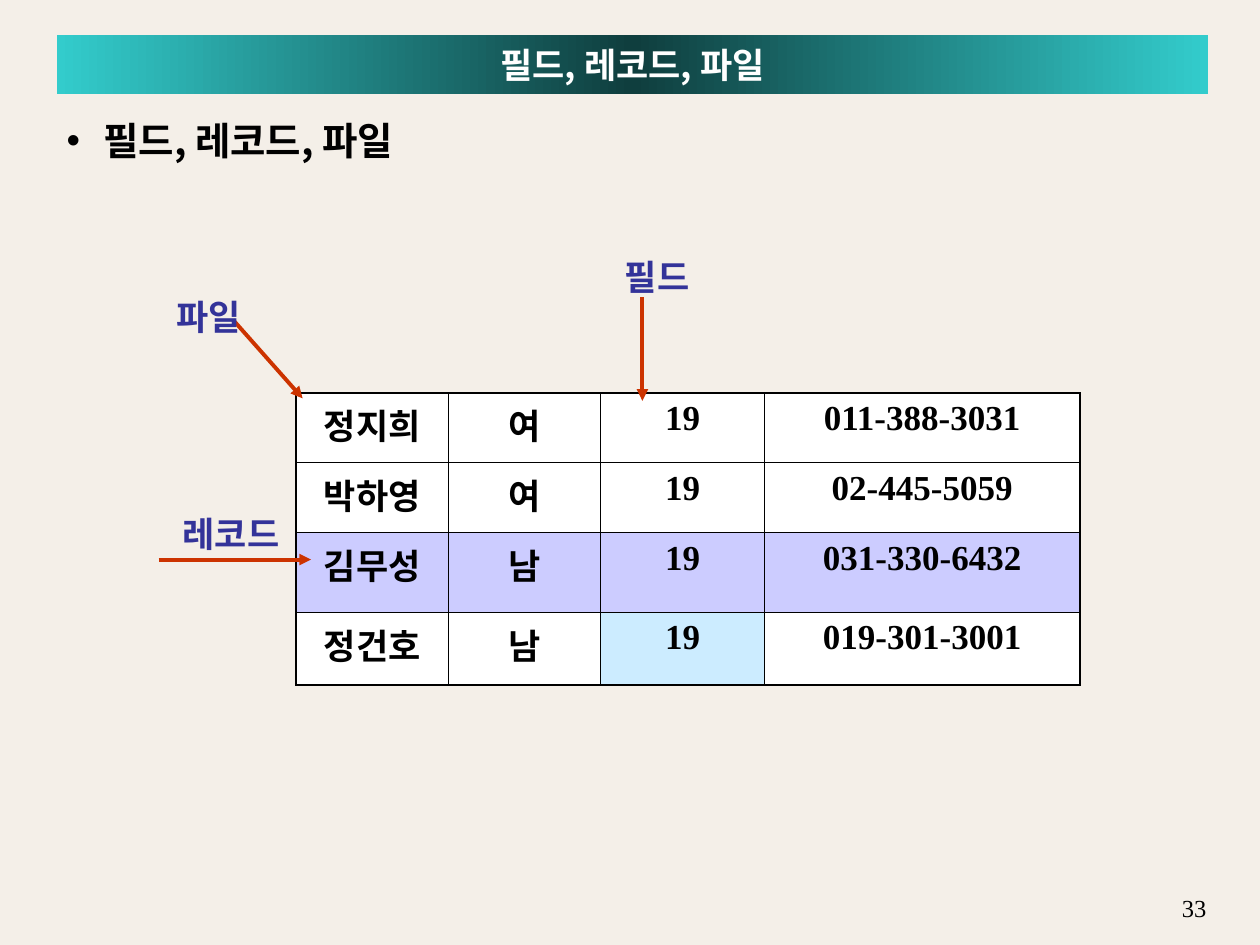
import copy

import pptx
import pptx.dml.color
import pptx.enum.shapes
import pptx.enum.text
import pptx.oxml
import pptx.oxml.ns
import pptx.util
from lxml import etree
from pptx.dml.color import RGBColor
from pptx.oxml.ns import qn
from pptx.util import Cm, Pt

TOPIC = "필드, 레코드, 파일"
PAGE_NUMBER = "33"
RECORDS = [
    ("정지희", "여", "19", "011-388-3031"),
    ("박하영", "여", "19", "02-445-5059"),
    ("김무성", "남", "19", "031-330-6432"),
    ("정건호", "남", "19", "019-301-3001"),
]
MARKED_RECORD = 2
MARKED_FIELD = (3, 2)

# Lengths in centimetres
COLUMN_WIDTHS = (3.07, 3.07, 3.3, 6.36)
ROW_HEIGHTS = (1.41, 1.41, 1.6, 1.47)
TABLE_LEFT, TABLE_TOP = 5.97, 7.92
LABEL_SIZE = (5.82, 1.27)
LABELS = [("파일", 1.3, 5.74), ("레코드", 1.75, 10.13), ("필드", 10.34, 4.95)]
ARROWS = [
    (3.2, 11.28, 6.27, 11.28),
    (4.7, 6.45, 6.1, 8.03),
    (12.95, 5.99, 12.95, 8.08),
]

BACKGROUND = RGBColor(0xF4, 0xEF, 0xE8)
TEAL = RGBColor(0x33, 0xCC, 0xCC)
DARK_TEAL = RGBColor(0x0F, 0x3E, 0x3E)
BLACK = RGBColor(0, 0, 0)
WHITE = RGBColor(0xFF, 0xFF, 0xFF)
NAVY = RGBColor(0x33, 0x33, 0x99)
RED = RGBColor(0xCC, 0x33, 0x00)
LAVENDER = RGBColor(0xCC, 0xCC, 0xFF)
SKY = RGBColor(0xCC, 0xEC, 0xFF)
KOREAN, SERIF = "Noto Sans CJK KR", "Times New Roman"
ALIGN = pptx.enum.text.PP_ALIGN
MIDDLE = pptx.enum.text.MSO_ANCHOR.MIDDLE


def write(frame, text, size, color, align, latin=SERIF, bold=True):
    """Fill the first paragraph and give it Latin and Korean fonts."""
    paragraph = frame.paragraphs[0]
    paragraph.text = text
    paragraph.alignment = align
    paragraph.space_before = Pt(0)
    font = paragraph.font
    font.size, font.bold, font.name = Pt(size), bold, latin
    font.color.rgb = color
    defaults = paragraph._p.pPr.find(qn("a:defRPr"))
    etree.SubElement(defaults, qn("a:ea"), typeface=KOREAN)


def place(shape, left, top, width, height):
    shape.left, shape.top = Cm(left), Cm(top)
    shape.width, shape.height = Cm(width), Cm(height)


def add_bullet(paragraph):
    properties = paragraph._p.get_or_add_pPr()
    properties.set("marL", str(Cm(0.74)))
    properties.set("indent", str(-Cm(0.74)))
    color = etree.SubElement(properties, qn("a:buClr"))
    etree.SubElement(color, qn("a:srgbClr"), val=str(BLACK))
    etree.SubElement(properties, qn("a:buChar"), char="•")


def set_borders(cell, outer_sides):
    """Draw thin borders, thicker on the sides at the table's edge."""
    properties = cell._tc.get_or_add_tcPr()
    for position, side in enumerate(("L", "R", "T", "B")):
        width = Pt(1.08 if side in outer_sides else 0.45)
        line = etree.Element(qn(f"a:ln{side}"), w=str(width))
        fill = etree.SubElement(line, qn("a:solidFill"))
        etree.SubElement(fill, qn("a:srgbClr"), val=str(BLACK))
        properties.insert(position, line)


def add_title(slide):
    title = slide.shapes.title
    place(title, 1.14, 0.71, 23.22, 1.19)
    title.fill.gradient()
    title.fill.gradient_angle = 0
    first_stop = title._element.find(".//" + qn("a:gs"))
    first_stop.addnext(copy.deepcopy(first_stop))
    stops = zip(title.fill.gradient_stops, (0, 0.5, 1), (TEAL, DARK_TEAL, TEAL))
    for stop, position, color in stops:
        stop.position = position
        stop.color.rgb = color
    title.text_frame.vertical_anchor = MIDDLE
    write(title.text_frame, TOPIC, 20, WHITE, ALIGN.CENTER, KOREAN)


def add_body(slide):
    body = slide.placeholders[1]
    place(body, 1.09, 2.31, 23.22, 15.6)
    body.text_frame.margin_top = Cm(0.05)
    add_bullet(body.text_frame.paragraphs[0])
    write(body.text_frame, TOPIC, 22, BLACK, ALIGN.LEFT, KOREAN)


def add_records(slide):
    rows, columns = len(RECORDS), len(COLUMN_WIDTHS)
    table = slide.shapes.add_table(
        rows, columns, Cm(TABLE_LEFT), Cm(TABLE_TOP),
        Cm(sum(COLUMN_WIDTHS)), Cm(sum(ROW_HEIGHTS))).table
    table.first_row = table.horz_banding = False
    for column, width in zip(table.columns, COLUMN_WIDTHS):
        column.width = Cm(width)
    for row, height in zip(table.rows, ROW_HEIGHTS):
        row.height = Cm(height)
    for r, record in enumerate(RECORDS):
        for c, field in enumerate(record):
            cell = table.cell(r, c)
            write(cell.text_frame, field, 20, BLACK, ALIGN.CENTER)
            cell.fill.solid()
            cell.fill.fore_color.rgb = (
                SKY if (r, c) == MARKED_FIELD
                else LAVENDER if r == MARKED_RECORD else WHITE)
            edges = {"L": c == 0, "R": c == columns - 1,
                     "T": r == 0, "B": r == rows - 1}
            set_borders(cell, [side for side in edges if edges[side]])


def add_arrow(slide, ends):
    arrow = slide.shapes.add_connector(
        pptx.enum.shapes.MSO_CONNECTOR.STRAIGHT, *map(Cm, ends))
    arrow.line.color.rgb = RED
    arrow.line.width = Pt(2.25)
    etree.SubElement(arrow.line._get_or_add_ln(), qn("a:tailEnd"), type="triangle")
    etree.SubElement(arrow._element.spPr, qn("a:effectLst"))


def add_label(slide, text, left, top):
    label = slide.shapes.add_shape(
        pptx.enum.shapes.MSO_SHAPE.BEVEL, *map(Cm, (left, top, *LABEL_SIZE)))
    label.shadow.inherit = False
    label.fill.background()
    label.line.fill.background()
    label.text_frame.vertical_anchor = MIDDLE
    write(label.text_frame, text, 20, NAVY, ALIGN.CENTER)


def main():
    deck = pptx.Presentation()
    deck.slide_width, deck.slide_height = Cm(25.4), Cm(19.05)
    slide = deck.slides.add_slide(deck.slide_layouts[1])
    slide.background.fill.solid()
    slide.background.fill.fore_color.rgb = BACKGROUND

    page = slide.shapes.add_textbox(Cm(23.5), Cm(17.88), Cm(1.07), Cm(0.43))
    page.text_frame.word_wrap = True
    write(page.text_frame, PAGE_NUMBER, 14, BLACK, ALIGN.RIGHT, bold=False)

    add_title(slide)
    add_body(slide)
    add_records(slide)
    for ends in ARROWS:
        add_arrow(slide, ends)
    for label in LABELS:
        add_label(slide, *label)
    deck.save("out.pptx")


if __name__ == "__main__":
    main()
